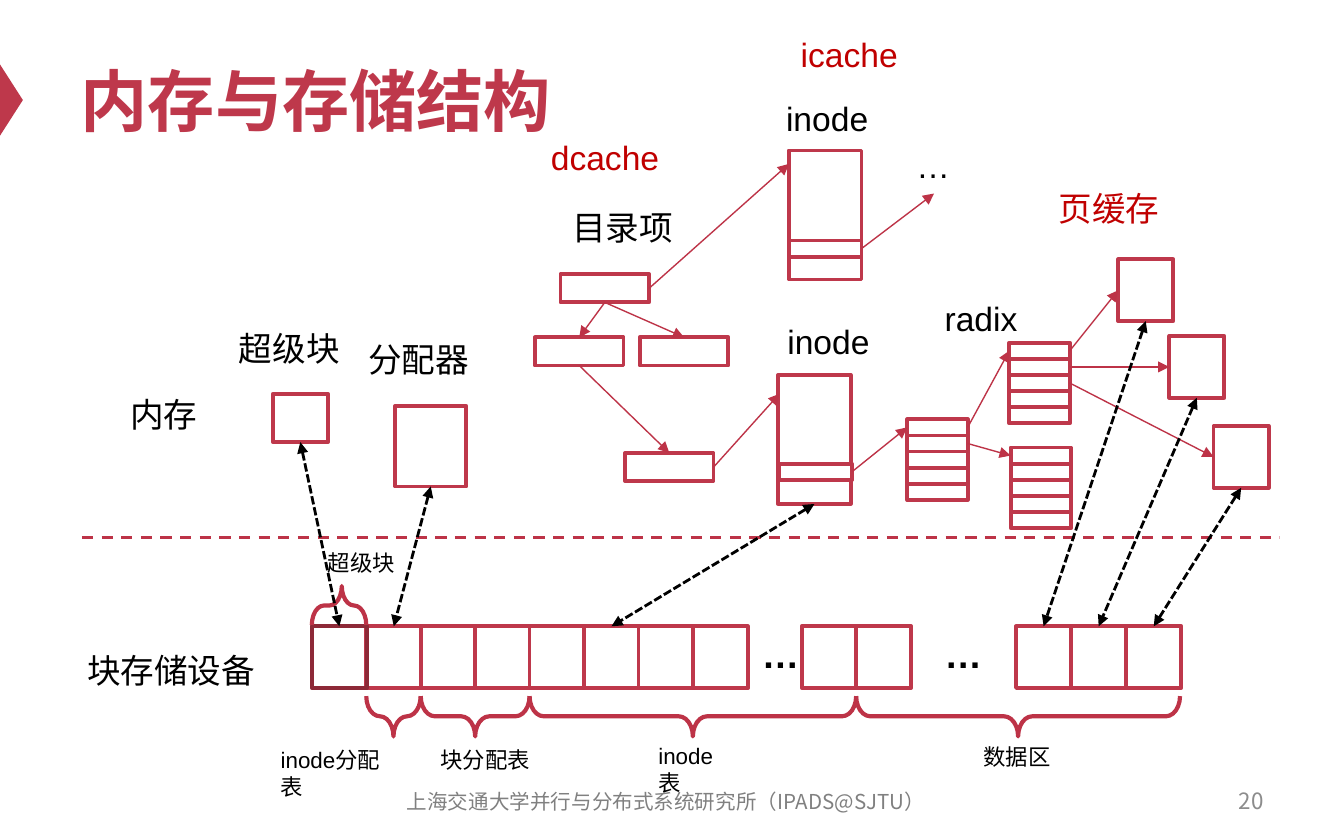
from lxml import etree
from pptx import Presentation
from pptx import util as u
from pptx.dml.color import RGBColor
from pptx.enum import dml, shapes, text
from pptx.oxml.ns import qn

RED, ARROW_RED, DARK_RED = "BE384B", "BD3347", "8D2937"
BLACK, WHITE, CACHE_RED = "000000", "FFFFFF", "C00000"
CJK = "Noto Sans CJK SC"
TOP, LEFT, BOTTOM, RIGHT = range(4)
DISK_TOP, DISK_LEFT = 4.66, 2.32
PITCH = (6.37 - DISK_LEFT) / 10


def colour(value):
    return RGBColor.from_string(value)


def write(frame, content, size=18, color=BLACK, font="Arial", bold=False,
          align=text.PP_ALIGN.LEFT, anchor=text.MSO_ANCHOR.TOP, wrap=False):
    frame.word_wrap = wrap
    frame.vertical_anchor = anchor
    frame.auto_size = text.MSO_AUTO_SIZE.NONE
    paragraph = frame.paragraphs[0]
    paragraph.alignment = align
    run = paragraph.add_run()
    run.text = content
    run.font.size, run.font.bold, run.font.name = u.Pt(size), bold, font
    run.font.color.rgb = colour(color)
    etree.SubElement(run._r.get_or_add_rPr(), qn("a:ea")).set("typeface", CJK)


def label(slide, content, left, top, width, height=0.4, **style):
    box = slide.shapes.add_textbox(*map(u.Inches, (left, top, width, height)))
    write(box.text_frame, content, **style)


def outline(slide, preset, left, top, width, height, fill=WHITE, line=RED, weight=2):
    shape = slide.shapes.add_shape(preset, *map(u.Inches, (left, top, width, height)))
    shape.shadow.inherit = False
    if fill:
        shape.fill.solid()
        shape.fill.fore_color.rgb = colour(fill)
    else:
        shape.fill.background()
    if line:
        shape.line.color.rgb = colour(line)
        shape.line.width = u.Pt(weight)
    else:
        shape.line.fill.background()
    return shape


def block(slide, left, top, width=0.41, height=0.46, **style):
    return outline(slide, shapes.MSO_SHAPE.RECTANGLE, left, top, width, height, **style)


def brace(slide, left, right, top, depth=0.3, rotation=90, tip=0.5):
    """Draw a horizontal brace over the given span by turning a right brace."""
    span = right - left
    shape = outline(slide, shapes.MSO_SHAPE.RIGHT_BRACE, (left + right - depth) / 2,
                    top + (depth - span) / 2, depth, span,
                    fill=None, line=ARROW_RED, weight=2.25)
    shape.rotation = rotation
    shape.adjustments[0], shape.adjustments[1] = 0.35, tip


def link(slide, start, end, color=ARROW_RED, weight=0.75, dash=None, heads=("tailEnd",)):
    """Join two ends; each is an (x, y) point or a (shape, side) pair."""
    points = [(0, 0) if hasattr(a, "shape_id") else (u.Inches(a), u.Inches(b))
              for a, b in (start, end)]
    line = slide.shapes.add_connector(shapes.MSO_CONNECTOR.STRAIGHT, *points[0], *points[1])
    for (target, side), connect in ((start, line.begin_connect), (end, line.end_connect)):
        if hasattr(target, "shape_id"):
            connect(target, side)
    line.line.color.rgb = colour(color)
    line.line.width = u.Pt(weight)
    if dash:
        line.line.dash_style = dash
    for head in heads:
        etree.SubElement(line.line._get_or_add_ln(), qn("a:" + head)).set("type", "triangle")
    etree.SubElement(line._element.spPr, qn("a:effectLst"))


def sync_link(slide, memory, disk):
    """Dashed double arrow between a memory object and its disk block."""
    link(slide, (memory, BOTTOM), (disk, TOP), color=BLACK, weight=1.5,
         dash=dml.MSO_LINE.SQUARE_DOT, heads=("headEnd", "tailEnd"))


def radix_node(slide, left, top):
    return [block(slide, left, top + 0.12 * row, 0.45, 0.12) for row in range(5)]


def frame_slide(slide):
    marker = outline(slide, shapes.MSO_SHAPE.ISOSCELES_TRIANGLE, -0.18, 0.66, 0.53, 0.17,
                     fill=RED, line=None)
    marker.rotation = 90
    title = slide.shapes.title
    title.left, title.top, title.width, title.height = map(u.Inches, (0.5, 0.25, 9, 0.98))
    middle = text.MSO_ANCHOR.MIDDLE
    write(title.text_frame, "内存与存储结构", size=36, color=RED, bold=True,
          anchor=middle, wrap=True)
    label(slide, "上海交通大学并行与分布式系统研究所（IPADS@SJTU）", 2.79, 5.8, 4.33, 0.33,
          size=11, color="808080", font=CJK, align=text.PP_ALIGN.CENTER,
          anchor=middle, wrap=True)
    label(slide, "20", 7.17, 5.79, 2.33, 0.33, size=12, color="8C8C8C", font=CJK,
          align=text.PP_ALIGN.RIGHT, anchor=middle, wrap=True)


def draw_disk(slide):
    """Draw the block device; return its metadata blocks and data blocks."""
    def slot_left(slot):
        return DISK_LEFT + PITCH * slot

    blocks = {slot: block(slide, slot_left(slot), DISK_TOP) for slot in (*range(1, 8), 9, 10)}
    blocks[0] = block(slide, DISK_LEFT, DISK_TOP, fill=None, line=DARK_RED)
    data = [block(slide, 7.56 + 0.41 * i, DISK_TOP) for i in range(3)]
    for left in (5.57, 6.93):
        label(slide, "…", left, 4.65, 0.48, 0.44, size=20, bold=True)

    brace(slide, slot_left(0), slot_left(1), 4.36, 0.29, rotation=270, tip=0.55)
    for first, last in ((1, 2), (2, 4), (4, 10)):
        brace(slide, slot_left(first), slot_left(last), 5.18)
    brace(slide, slot_left(10), 8.78, 5.18)
    for name, left, top, width, wrap in (
            ("超级块", 2.34, 4.04, 0.71, False),
            ("inode分配表", 1.99, 5.5, 1.0, True),
            ("块分配表", 3.18, 5.5, 0.88, False),
            ("inode表", 4.8, 5.47, 0.68, True),
            ("数据区", 7.22, 5.48, 0.71, False)):
        label(slide, name, left, top, width, 0.3, size=12, wrap=wrap)
    return blocks, data


def draw_memory(slide):
    """Draw the in-memory objects; return those that have a disk block."""
    superblock = block(slide, 2.03, 2.93, 0.41, 0.36)
    allocator = block(slide, 2.94, 3.02, 0.53, 0.6)

    root, left_entry, right_entry, leaf = [
        block(slide, left, top, 0.66, 0.21)
        for left, top in ((4.17, 2.04), (3.98, 2.51), (4.76, 2.51), (4.65, 3.37))]
    upper_inode = block(slide, 5.87, 1.12, 0.54, 0.96)
    upper_pointer = block(slide, 5.87, 1.79, 0.54, 0.12)
    inode = block(slide, 5.79, 2.79, 0.54, 0.96)
    pointer = block(slide, 5.8, 3.45, 0.54, 0.12)

    radix_root, radix_low, radix_high = [
        radix_node(slide, left, top) for left, top in ((6.75, 3.12), (7.52, 3.33), (7.51, 2.55))]
    pages = [block(slide, left, top) for left, top in ((8.32, 1.93), (8.7, 2.5), (9.03, 3.17))]

    for start, end in (
            ((root, BOTTOM), (left_entry, TOP)),
            ((root, BOTTOM), (right_entry, TOP)),
            ((left_entry, BOTTOM), (leaf, TOP)),
            ((root, RIGHT), (5.87, 1.22)),
            ((leaf, RIGHT), (5.8, 2.93)),
            ((upper_pointer, RIGHT), (6.95, 1.44)),
            ((pointer, RIGHT), (radix_root[0], LEFT)),
            ((radix_root[0], RIGHT), (radix_high[0], LEFT)),
            ((radix_root[1], RIGHT), (radix_low[0], LEFT)),
            *(((row, RIGHT), (page, LEFT)) for row, page in zip(radix_high, pages))):
        link(slide, start, end)
    return superblock, allocator, inode, pages


def label_regions(slide):
    for name, left, top, width, color in (
            ("内存", 0.87, 2.88, 0.71, BLACK),
            ("块存储设备", 0.55, 4.79, 1.46, BLACK),
            ("超级块", 1.68, 2.39, 0.96, BLACK),
            ("分配器", 2.64, 2.47, 0.96, BLACK),
            ("目录项", 4.16, 1.49, 0.97, BLACK),
            ("inode", 5.75, 0.68, 0.82, BLACK),
            ("inode", 5.76, 2.34, 0.82, BLACK),
            ("…", 6.72, 1.03, 0.45, BLACK),
            ("radix", 6.93, 2.17, 0.75, BLACK),
            ("dcache", 4, 0.97, 1.02, CACHE_RED),
            ("icache", 5.86, 0.2, 0.93, CACHE_RED),
            ("页缓存", 7.78, 1.35, 0.97, CACHE_RED)):
        label(slide, name, left, top, width, color=color)


def main():
    deck = Presentation()
    deck.slide_width, deck.slide_height = u.Inches(10), u.Inches(6.25)
    slide = deck.slides.add_slide(deck.slide_layouts[5])
    frame_slide(slide)
    blocks, data = draw_disk(slide)
    link(slide, (0.61, 4), (9.52, 4), weight=1.5, dash=dml.MSO_LINE.DASH, heads=())
    superblock, allocator, inode, pages = draw_memory(slide)
    for memory, disk in ((superblock, blocks[0]), (allocator, blocks[1]),
                         (inode, blocks[5]), *zip(pages, data)):
        sync_link(slide, memory, disk)
    label_regions(slide)
    deck.save("out.pptx")


if __name__ == "__main__":
    main()
